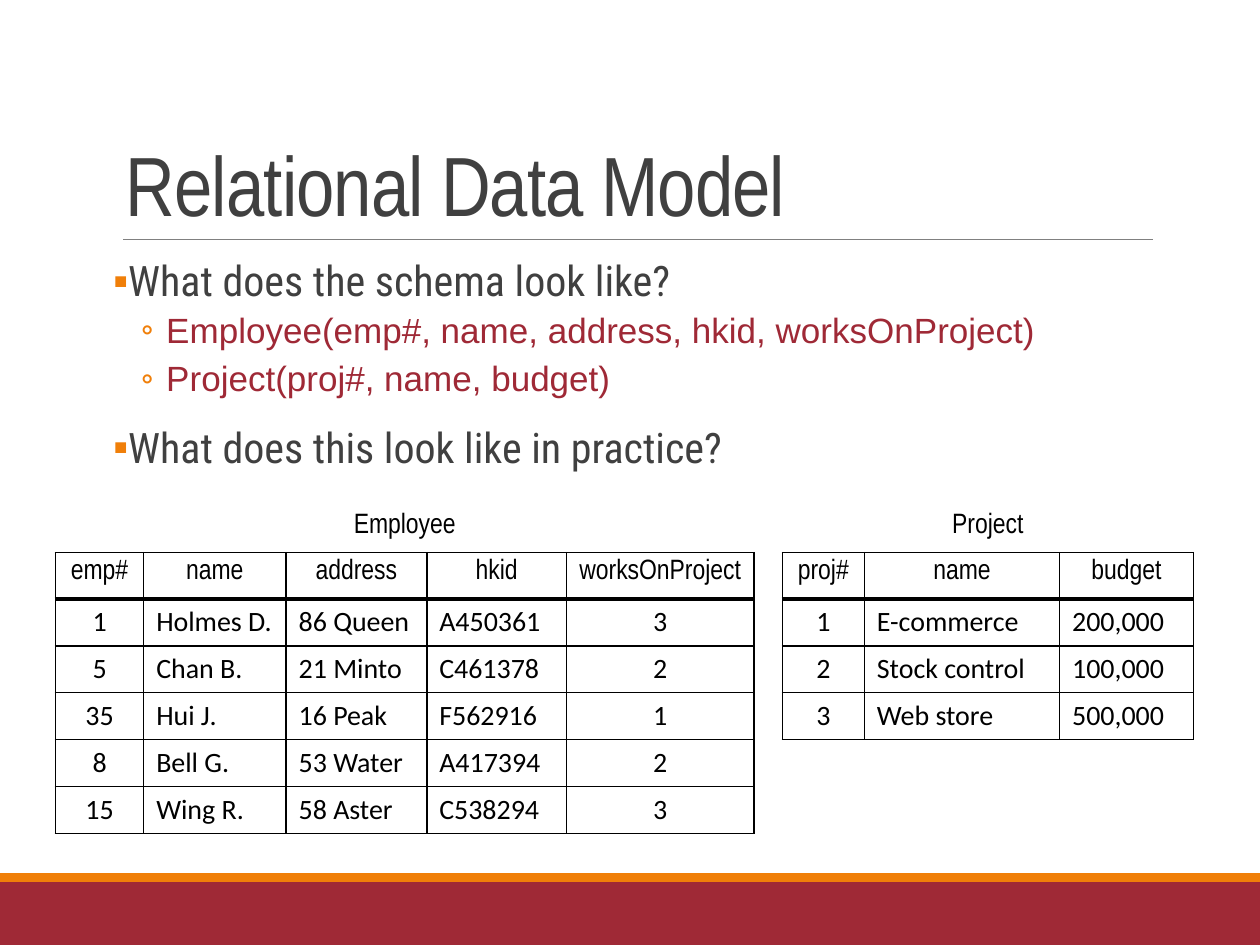
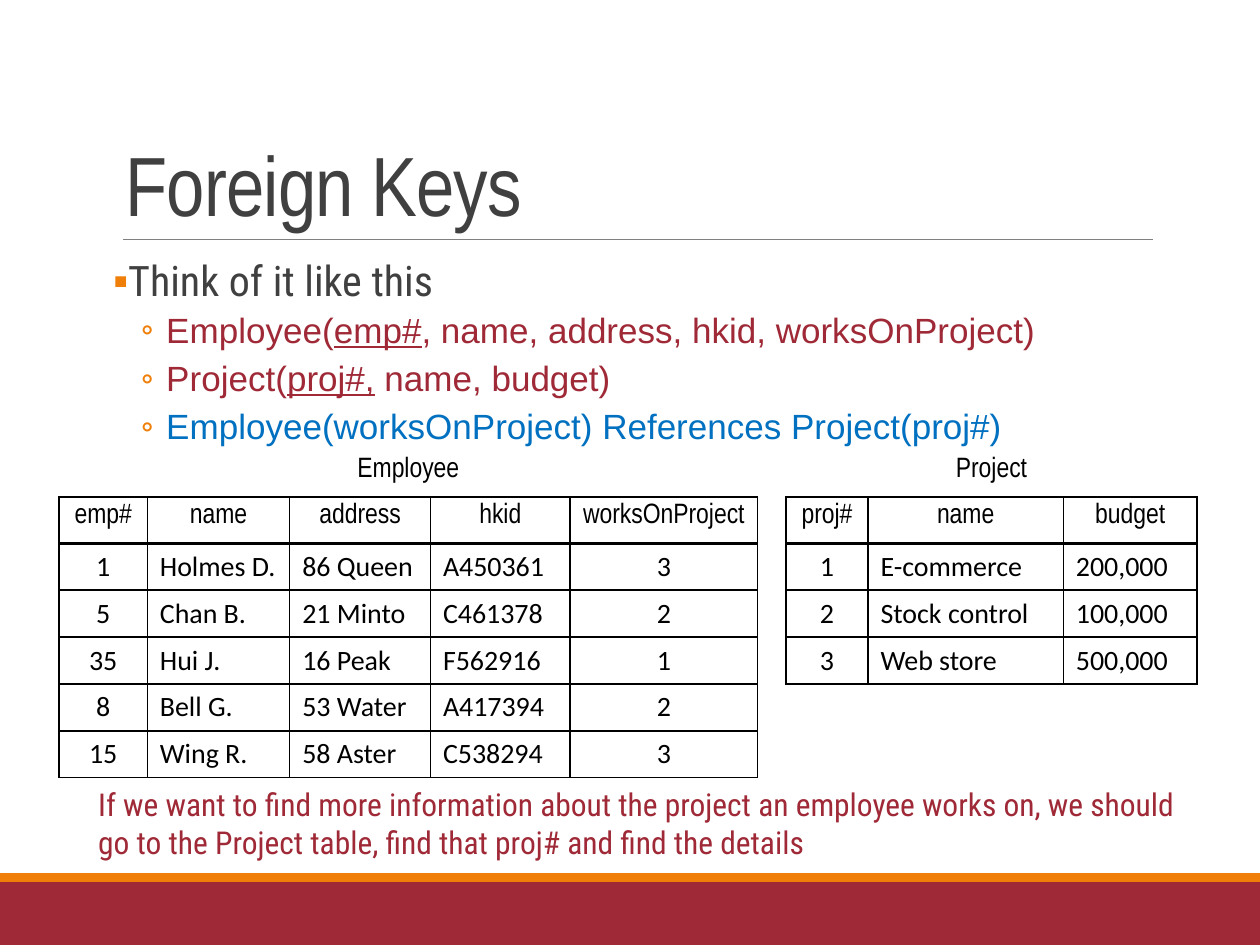
from dataclasses import dataclass

from lxml import etree
from pptx import Presentation
from pptx.dml.color import RGBColor
from pptx.enum import shapes, text
from pptx.oxml import ns
from pptx.util import Pt


@dataclass(frozen=True)
class Theme:
    """Colours, fonts and type sizes of the deck."""
    red: str = "9F2936"
    orange: str = "F07F09"
    ink: str = "404040"
    rule: str = "808080"
    black: str = "000000"
    blue: str = "0070C0"
    head_font: str = "Arial Narrow"
    body_font: str = "Roboto Condensed"
    schema_font: str = "Arial"
    cell_font: str = "Calibri"
    title: float = 48
    body: float = 24
    schema: float = 20
    note: float = 18
    cell: float = 16


T = Theme()


@dataclass(frozen=True)
class Level:
    """Look of one bullet level, lengths in points."""
    bullet: str
    margin: float
    hanging: float
    before: float
    after: float
    font: str
    size: float


POINT = Level("▪", 7.2, 7.2, 12, 2, T.body_font, T.body)
SCHEMA = Level("◦", 30.2, 14.4, 2, 4, T.schema_font, T.schema)


@dataclass(frozen=True)
class Item:
    """A bullet whose underlined words stand between underscores."""
    words: str
    level: Level = POINT
    color: str = T.ink


@dataclass(frozen=True)
class Relation:
    """A relation with its column widths and its centred columns."""
    name: str
    widths: tuple[float, ...]
    centred: tuple[int, ...]
    heads: tuple[str, ...]
    rows: tuple[tuple[str, ...], ...]


@dataclass(frozen=True)
class Page:
    """Content of one slide and the corner where its tables start."""
    title: str
    items: tuple[Item, ...]
    left: float
    top: float
    note: str = ""


EMPLOYEE = Relation(
    "Employee", (50.4, 81.4, 80.4, 79.9, 107.1), (0, 4),
    ("emp#", "name", "address", "hkid", "worksOnProject"),
    (("1", "Holmes D.", "86 Queen", "A450361", "3"),
     ("5", "Chan B.", "21 Minto", "C461378", "2"),
     ("35", "Hui J.", "16 Peak", "F562916", "1"),
     ("8", "Bell G.", "53 Water", "A417394", "2"),
     ("15", "Wing R.", "58 Aster", "C538294", "3")))
PROJECT = Relation(
    "Project", (46.8, 111.6, 76.4), (0,),
    ("proj#", "name", "budget"),
    (("1", "E-commerce", "200,000"),
     ("2", "Stock control", "100,000"),
     ("3", "Web store", "500,000")))
PROJECT_OFFSET = 415.4
HEAD_HEIGHT, ROW_HEIGHT = 22.3, 26.8
THIN, THICK = 1, 2.25

PAGES = (
    Page("Relational Data Model",
         (Item("What does the schema look like?"),
          Item("Employee(emp#, name, address, hkid, worksOnProject)", SCHEMA, T.red),
          Item("Project(proj#, name, budget)", SCHEMA, T.red),
          Item("What does this look like in practice?")),
         31.7, 289.4),
    Page("Foreign Keys",
         (Item("Think of it like this"),
          Item("Employee(_emp#_, name, address, hkid, worksOnProject)", SCHEMA, T.red),
          Item("Project(_proj#,_ name, budget)", SCHEMA, T.red),
          Item("Employee(worksOnProject) References Project(proj#)", SCHEMA, T.blue)),
         33.8, 257.6,
         "If we want to find more information about the project an employee works on, "
         "we should go to the Project table, find that proj# and find the details"),
)


def rgb(color: str) -> RGBColor:
    """Turn a hex string into a colour."""
    return RGBColor.from_string(color)


def style(r, font: str, size: float, color: str) -> None:
    """Set the font, size and colour of a run."""
    r.font.name, r.font.size = font, Pt(size)
    r.font.color.rgb = rgb(color)


def add_box(s, left: float, top: float, width: float, height: float):
    """Add a wrapping text box and return its text frame."""
    tf = s.shapes.add_textbox(Pt(left), Pt(top), Pt(width), Pt(height)).text_frame
    tf.word_wrap = True
    return tf


def add_band(s, top: float, height: float, color: str) -> None:
    """Draw a plain band across the slide."""
    sp = s.shapes.add_shape(shapes.MSO_SHAPE.RECTANGLE, 0, Pt(top), Pt(720), Pt(height))
    sp.shadow.inherit = False
    sp.fill.solid()
    sp.fill.fore_color.rgb = rgb(color)
    sp.line.fill.background()


def add_frame(s) -> None:
    """Draw the footer bands and the rule under the title."""
    add_band(s, 504, 36, T.red)
    add_band(s, 499, 5, T.orange)
    c = s.shapes.add_connector(shapes.MSO_CONNECTOR.STRAIGHT,
                               Pt(70.5), Pt(136.8), Pt(658.8), Pt(136.8))
    c.line.color.rgb, c.line.width = rgb(T.rule), Pt(0.5)
    etree.SubElement(c._element.spPr, ns.qn("a:effectLst"))


def add_title(s, title: str) -> None:
    """Write the slide title."""
    tf = add_box(s, 64.8, 22.3, 594, 114.5)
    tf.vertical_anchor = text.MSO_ANCHOR.BOTTOM
    p = tf.paragraphs[0]
    p.text, p.line_spacing = title, 0.85
    r = p.runs[0]
    style(r, T.head_font, T.title, T.ink)
    r.font._element.set("spc", "-50")


def add_bullet(p, level: Level) -> None:
    """Give a paragraph its hanging bullet."""
    pPr = p._p.get_or_add_pPr()
    pPr.set("marL", str(Pt(level.margin)))
    pPr.set("indent", str(-Pt(level.hanging)))
    clr = etree.SubElement(pPr, ns.qn("a:buClr"))
    etree.SubElement(clr, ns.qn("a:srgbClr"), val=T.orange)
    etree.SubElement(pPr, ns.qn("a:buFont"), typeface=T.cell_font)
    etree.SubElement(pPr, ns.qn("a:buChar"), char=level.bullet)


def add_items(s, items: tuple[Item, ...]) -> None:
    """Write the bulleted body text."""
    tf = add_box(s, 64.8, 145.4, 594, 316.8)
    tf.margin_left = tf.margin_right = 0
    for i, item in enumerate(items):
        p = tf.add_paragraph() if i else tf.paragraphs[0]
        add_bullet(p, item.level)
        p.line_spacing = 0.9
        p.space_before = Pt(item.level.before if i else 0)
        p.space_after = Pt(item.level.after)
        for n, words in enumerate(item.words.split("_")):
            r = p.add_run()
            r.text = words
            style(r, item.level.font, item.level.size, item.color)
            if n % 2:
                r.font.underline = True


def set_borders(cell, **widths: float) -> None:
    """Draw the named sides (L, R, T, B) of a cell and clear its fill."""
    tcPr = cell._tc.get_or_add_tcPr()
    for side in "LRTB":
        width = widths.get(side, 0)
        ln = etree.SubElement(tcPr, ns.qn(f"a:ln{side}"), w=str(Pt(width)))
        if width:
            fill = etree.SubElement(ln, ns.qn("a:solidFill"))
            etree.SubElement(fill, ns.qn("a:srgbClr"), val=T.black)
        else:
            etree.SubElement(ln, ns.qn("a:noFill"))
    cell.fill.background()


def set_cell(cell, words: str, font: str, centred: bool) -> None:
    """Write the text of a table cell."""
    p = cell.text_frame.paragraphs[0]
    p.text = words
    p.alignment = text.PP_ALIGN.CENTER if centred else text.PP_ALIGN.LEFT
    style(p.runs[0], font, T.cell, T.black)


def add_relation(s, rel: Relation, left: float, top: float) -> None:
    """Draw a relation as a table under its merged name row."""
    heights = [HEAD_HEIGHT] * 2 + [ROW_HEIGHT] * len(rel.rows)
    tbl = s.shapes.add_table(len(heights), len(rel.widths), Pt(left), Pt(top),
                             Pt(sum(rel.widths)), Pt(sum(heights))).table
    tbl.first_row = tbl.horz_banding = False
    for col, width in zip(tbl.columns, rel.widths):
        col.width = Pt(width)
    for row, height in zip(tbl.rows, heights):
        row.height = Pt(height)
    tbl.cell(0, 0).merge(tbl.cell(0, len(rel.widths) - 1))
    set_cell(tbl.cell(0, 0), rel.name, T.head_font, True)
    for j in range(len(rel.widths)):
        set_borders(tbl.cell(0, j), B=THIN)
    for i, values in enumerate((rel.heads, *rel.rows), start=1):
        head = i == 1
        for j, value in enumerate(values):
            cell = tbl.cell(i, j)
            set_cell(cell, value, T.head_font if head else T.cell_font,
                     head or j in rel.centred)
            set_borders(cell, L=THIN, R=THIN, T=THICK if i == 2 else THIN,
                        B=THICK if head else THIN)


def add_note(s, note: str) -> None:
    """Write the closing remark above the footer."""
    p = add_box(s, 49, 445, 635, 51).paragraphs[0]
    p.text = note
    style(p.runs[0], T.body_font, T.note, T.red)


def main() -> None:
    """Build the deck and save it."""
    prs = Presentation()
    prs.slide_width, prs.slide_height = Pt(720), Pt(540)
    for page in PAGES:
        s = prs.slides.add_slide(prs.slide_layouts[6])
        add_frame(s)
        add_title(s, page.title)
        add_items(s, page.items)
        add_relation(s, PROJECT, page.left + PROJECT_OFFSET, page.top)
        add_relation(s, EMPLOYEE, page.left, page.top)
        if page.note:
            add_note(s, page.note)
    prs.save("out.pptx")


if __name__ == "__main__":
    main()
